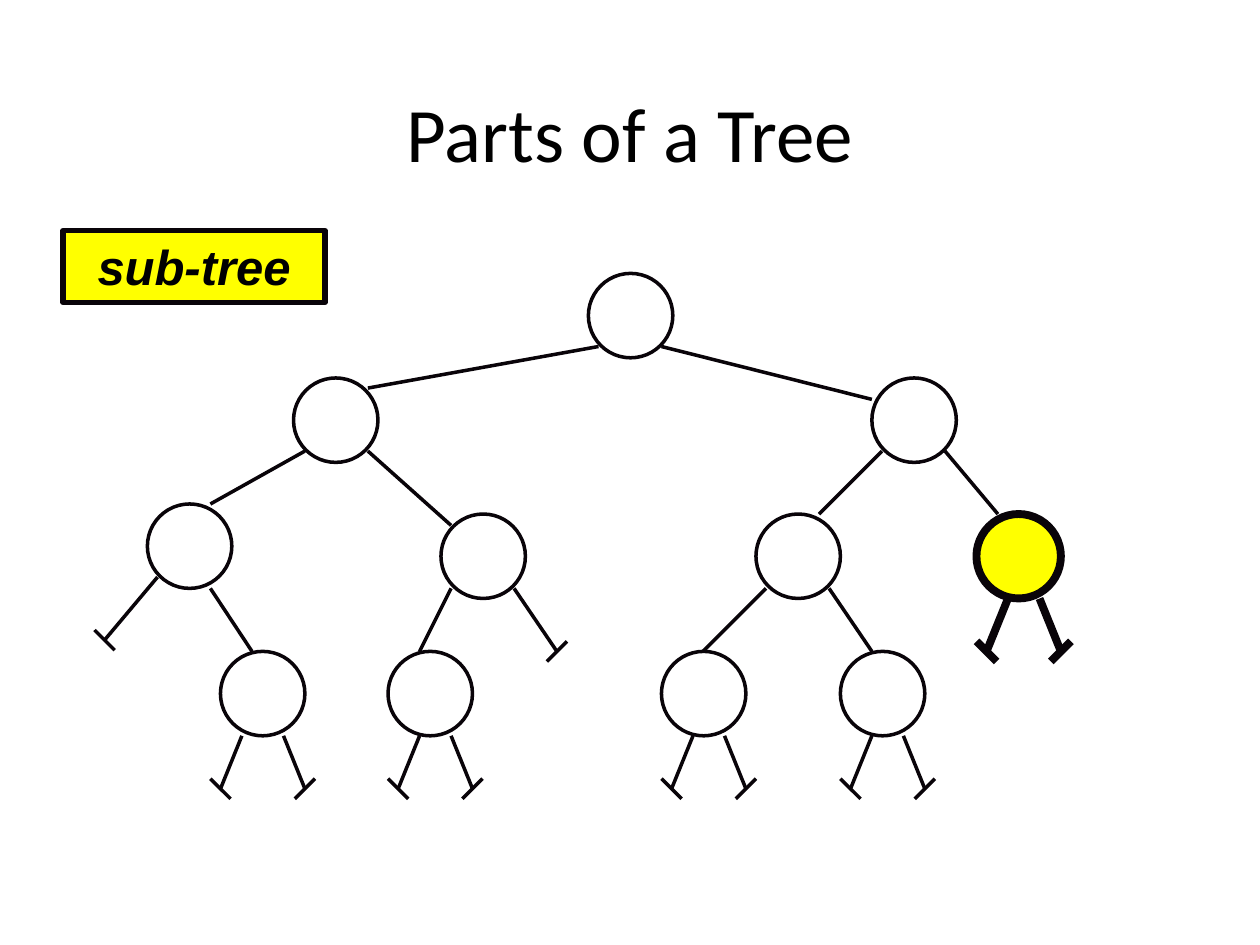
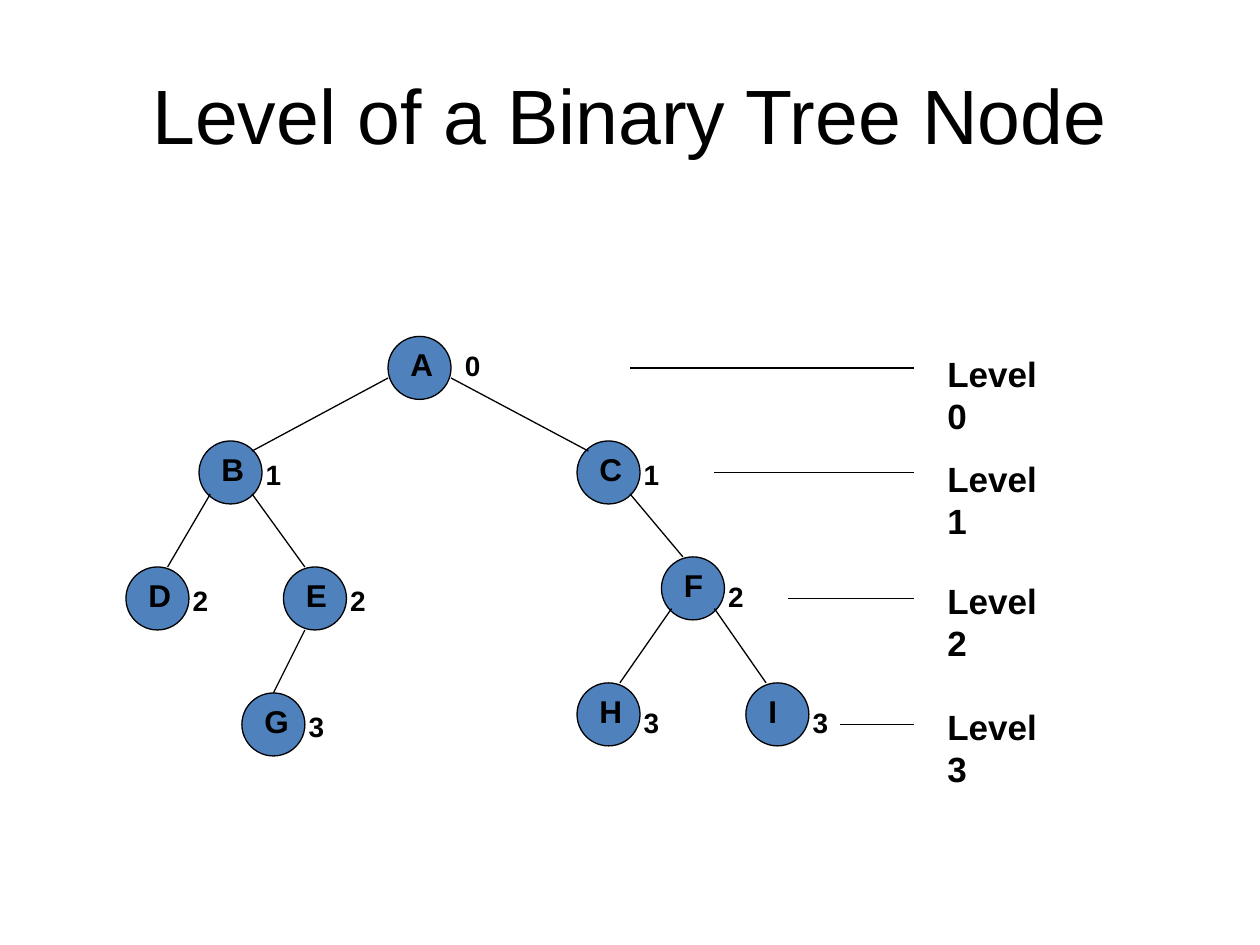
from dataclasses import dataclass

from lxml import etree
from pptx import Presentation
from pptx.dml.color import RGBColor
from pptx.enum.shapes import MSO_CONNECTOR, MSO_SHAPE
from pptx.enum.text import MSO_ANCHOR, MSO_AUTO_SIZE, PP_ALIGN
from pptx.oxml.ns import qn
from pptx.presentation import Presentation as Deck
from pptx.shapes.autoshape import Shape
from pptx.slide import Slide
from pptx.util import Inches, Pt

STRAIGHT = MSO_CONNECTOR.STRAIGHT
ELLIPSE, RECTANGLE = MSO_SHAPE.OVAL, MSO_SHAPE.RECTANGLE
TOP, MIDDLE = MSO_ANCHOR.TOP, MSO_ANCHOR.MIDDLE
LEFT, CENTER = PP_ALIGN.LEFT, PP_ALIGN.CENTER
GROW = MSO_AUTO_SIZE.SHAPE_TO_FIT_TEXT
TITLE_ONLY = 5

Point = tuple[float, float]
Box = tuple[float, float, float, float]


@dataclass(frozen=True)
class Theme:
    black: RGBColor = RGBColor(0x00, 0x00, 0x00)
    outline: RGBColor = RGBColor(0x09, 0x04, 0x09)
    highlight: RGBColor = RGBColor(0xFF, 0xFF, 0x00)
    node_blue: RGBColor = RGBColor(0x4F, 0x81, 0xBD)
    heading_font: str = "Calibri"
    font: str = "Arial"
    title_size: float = 44
    callout_size: float = 28
    level_size: float = 20
    letter_size: float = 18
    depth_size: float = 16


THEME = Theme()


@dataclass(frozen=True)
class Pen:
    color: RGBColor
    width: float


TREE_PEN = Pen(THEME.outline, 2)
SUBTREE_PEN = Pen(THEME.outline, 4.5)
CALLOUT_PEN = Pen(THEME.outline, 3)
LEVEL_PEN = Pen(THEME.black, 0.75)


@dataclass(frozen=True)
class Edge:
    start: Point
    end: Point
    is_open: bool = False


@dataclass(frozen=True)
class Leaf:
    """A node without children; left_start is where its left stub leaves it."""
    left: float
    top: float
    left_start: float = 0.25
    pen: Pen = TREE_PEN
    fill: RGBColor | None = None


@dataclass(frozen=True)
class LetterNode:
    letter: str
    left: float
    top: float
    depth: int
    depth_dx: float = 0.43
    depth_dy: float = 0.08
    letter_width: float = 0.33


@dataclass(frozen=True)
class Level:
    label_top: float
    rule_left: float
    rule_y: float


PART_SIZE = 0.67
BAR_REACH = 0.08
STUB_SPREAD, STUB_DROP = 0.17, 0.42
PARENTS: list[Point] = [(4.67, 2.17), (2.33, 3), (6.92, 3), (1.17, 4), (3.5, 4.08), (6, 4.08)]
PART_EDGES = [
    Edge((4.75, 2.75), (2.92, 3.08)),
    Edge((5.25, 2.75), (6.92, 3.17)),
    Edge((2.42, 3.58), (1.67, 4)),
    Edge((2.92, 3.58), (3.58, 4.17)),
    Edge((7, 3.58), (6.5, 4.08)),
    Edge((7.5, 3.58), (7.92, 4.08)),
    Edge((1.25, 4.58), (0.83, 5.08), is_open=True),
    Edge((1.67, 4.67), (2, 5.17)),
    Edge((3.58, 4.67), (3.33, 5.17)),
    Edge((4.08, 4.67), (4.42, 5.17), is_open=True),
    Edge((6.08, 4.67), (5.58, 5.17)),
    Edge((6.58, 4.67), (6.92, 5.17)),
]
LEAVES = [
    Leaf(1.75, 5.17, left_start=0.17),
    Leaf(3.08, 5.17),
    Leaf(5.25, 5.17),
    Leaf(6.67, 5.17),
    Leaf(7.75, 4.08, pen=SUBTREE_PEN, fill=THEME.highlight),
]

LETTER_NODE_SIZE = 0.5
LETTER_NODES = [
    LetterNode("A", 3.08, 2.67, 0, depth_dx=0.51, depth_dy=0.05),
    LetterNode("B", 1.58, 3.5, 1),
    LetterNode("C", 4.58, 3.5, 1),
    LetterNode("D", 1, 4.5, 2, letter_width=0.42),
    LetterNode("E", 2.25, 4.5, 2),
    LetterNode("F", 5.25, 4.42, 2, depth_dy=0.13),
    LetterNode("G", 1.92, 5.5, 3, letter_width=0.42),
    LetterNode("H", 4.58, 5.42, 3, depth_dy=0.13),
    LetterNode("I", 5.92, 5.42, 3, depth_dy=0.13, letter_width=0.42),
]
LETTER_EDGES = [
    Edge((3.08, 3), (2, 3.58)),
    Edge((3.58, 3), (4.67, 3.58)),
    Edge((1.67, 3.92), (1.33, 4.5)),
    Edge((2, 3.92), (2.42, 4.5)),
    Edge((2.42, 5), (2.17, 5.5)),
    Edge((5, 3.92), (5.42, 4.42)),
    Edge((5.33, 4.83), (4.92, 5.42)),
    Edge((5.67, 4.83), (6.08, 5.42)),
]
LEVEL_LABEL_LEFT, LEVEL_RULE_RIGHT = 7.42, 7.25
LEVELS = [
    Level(2.75, 5, 2.92),
    Level(3.58, 5.67, 3.75),
    Level(4.55, 6.25, 4.75),
    Level(5.55, 6.67, 5.75),
]


def write(shape: Shape, text: str, size: float, font: str = THEME.font, *,
          align: PP_ALIGN = LEFT, bold: bool | None = None, italic: bool | None = None) -> None:
    paragraph = shape.text_frame.paragraphs[0]
    paragraph.text = text
    paragraph.alignment = align
    paragraph.font.name = font
    paragraph.font.size = Pt(size)
    paragraph.font.bold = bold
    paragraph.font.italic = italic
    paragraph.font.color.rgb = THEME.black


def add_titled_slide(deck: Deck, title: str, box: Box, font: str) -> Slide:
    slide = deck.slides.add_slide(deck.slide_layouts[TITLE_ONLY])
    heading = slide.shapes.title
    heading.left, heading.top, heading.width, heading.height = map(Inches, box)
    heading.text_frame.vertical_anchor = MIDDLE
    write(heading, title, THEME.title_size, font, align=CENTER)
    return slide


def add_outlined(slide: Slide, kind: MSO_SHAPE, box: Box, pen: Pen,
                 fill: RGBColor | None = None) -> Shape:
    shape = slide.shapes.add_shape(kind, *map(Inches, box))
    shape.shadow.inherit = False
    if fill is None:
        shape.fill.background()
    else:
        shape.fill.solid()
        shape.fill.fore_color.rgb = fill
    shape.line.color.rgb = pen.color
    shape.line.width = Pt(pen.width)
    return shape


def add_line(slide: Slide, start: Point, end: Point, pen: Pen) -> None:
    line = slide.shapes.add_connector(STRAIGHT, *map(Inches, (*start, *end)))
    line.line.color.rgb = pen.color
    line.line.width = Pt(pen.width)
    etree.SubElement(line._element.spPr, qn("a:effectLst"))


def add_edge(slide: Slide, edge: Edge, pen: Pen) -> None:
    """Draw an edge; an open one ends in a slanted bar."""
    add_line(slide, edge.start, edge.end, pen)
    if edge.is_open:
        x, y = edge.end
        rise = BAR_REACH if x > edge.start[0] else -BAR_REACH
        add_line(slide, (x - BAR_REACH, y + rise), (x + BAR_REACH, y - rise), pen)


def add_label(slide: Slide, text: str, box: Box, size: float, wrap: bool = False) -> None:
    label = slide.shapes.add_textbox(*map(Inches, box))
    label.text_frame.word_wrap = wrap
    label.text_frame.auto_size = GROW
    write(label, text, size, bold=True)


def add_leaf(slide: Slide, leaf: Leaf) -> None:
    add_outlined(slide, ELLIPSE, (leaf.left, leaf.top, PART_SIZE, PART_SIZE), leaf.pen, leaf.fill)
    y = leaf.top + PART_SIZE
    for offset, spread in ((leaf.left_start, -STUB_SPREAD), (0.5, STUB_SPREAD)):
        x = leaf.left + offset
        add_edge(slide, Edge((x, y), (x + spread, y + STUB_DROP), is_open=True), leaf.pen)


def add_letter_node(slide: Slide, node: LetterNode) -> None:
    add_outlined(slide, ELLIPSE, (node.left, node.top, LETTER_NODE_SIZE, LETTER_NODE_SIZE),
                 LEVEL_PEN, THEME.node_blue)
    add_label(slide, node.letter, (node.left + 0.08, node.top + 0.02, node.letter_width, 0.4),
              THEME.letter_size, wrap=True)


def build_parts_slide(deck: Deck) -> None:
    slide = add_titled_slide(deck, "Parts of a Tree", (0.75, 0.42, 8.5, 1.25), THEME.heading_font)
    for left, top in PARENTS:
        add_outlined(slide, ELLIPSE, (left, top, PART_SIZE, PART_SIZE), TREE_PEN)
    for edge in PART_EDGES:
        add_edge(slide, edge, TREE_PEN)
    for leaf in LEAVES:
        add_leaf(slide, leaf)
    callout = add_outlined(slide, RECTANGLE, (0.5, 1.83, 2.08, 0.57), CALLOUT_PEN, THEME.highlight)
    callout.text_frame.word_wrap = True
    callout.text_frame.auto_size = GROW
    callout.text_frame.vertical_anchor = TOP
    write(callout, "sub-tree", THEME.callout_size, align=CENTER, bold=True, italic=True)


def build_levels_slide(deck: Deck) -> None:
    slide = add_titled_slide(deck, "Level of a Binary Tree Node", (0.5, 0.4, 9, 1), THEME.font)
    for node in LETTER_NODES:
        add_letter_node(slide, node)
    for edge in LETTER_EDGES:
        add_edge(slide, edge, LEVEL_PEN)
    for node in LETTER_NODES:
        add_label(slide, str(node.depth),
                  (node.left + node.depth_dx, node.top + node.depth_dy, 0.32, 0.37),
                  THEME.depth_size)
    for depth, level in enumerate(LEVELS):
        add_label(slide, f"Level {depth}", (LEVEL_LABEL_LEFT, level.label_top, 1.14, 0.44),
                  THEME.level_size)
        add_line(slide, (level.rule_left, level.rule_y), (LEVEL_RULE_RIGHT, level.rule_y),
                 LEVEL_PEN)


def main() -> None:
    deck = Presentation()
    deck.slide_width, deck.slide_height = Inches(10), Inches(7.5)
    build_parts_slide(deck)
    build_levels_slide(deck)
    deck.save("out.pptx")


if __name__ == "__main__":
    main()
